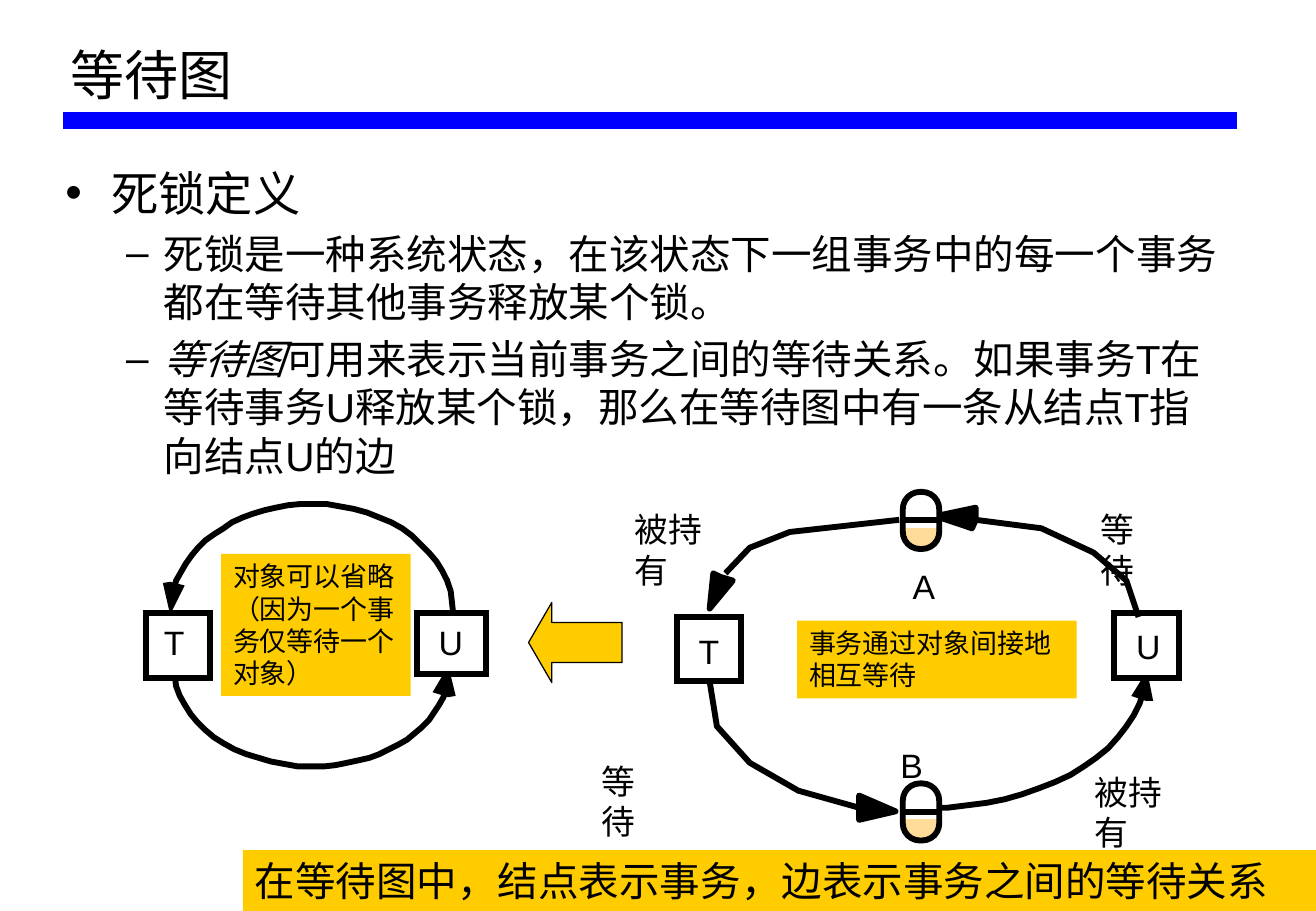
from lxml import etree
from pptx import Presentation
from pptx.dml.color import RGBColor
from pptx.enum.shapes import MSO_CONNECTOR, MSO_SHAPE
from pptx.enum.text import MSO_ANCHOR, PP_ALIGN
from pptx.oxml.ns import qn
from pptx.util import Pt

RECT = MSO_SHAPE.RECTANGLE
CAPSULE = MSO_SHAPE.ROUNDED_RECTANGLE
LEFT_ARROW = MSO_SHAPE.LEFT_ARROW
STRAIGHT = MSO_CONNECTOR.STRAIGHT
TOP, BOTTOM = MSO_ANCHOR.TOP, MSO_ANCHOR.BOTTOM
LEFT = PP_ALIGN.LEFT

PX = 9144  # 100 px to the inch
STROKE = 3.5
COLORS = {"ink": "000000", "paper": "FFFFFF", "rule": "0000FF",
          "note": "FFCC00", "object": "FFDC99"}


def px(*lengths):
    return [n * PX for n in lengths]


def color(name):
    return RGBColor.from_string(COLORS[name])


def style(sp, fill=None, line=None, width=STROKE):
    sp.shadow.inherit = False
    if fill:
        sp.fill.solid()
        sp.fill.fore_color.rgb = color(fill)
    else:
        sp.fill.background()
    if line:
        sp.line.color.rgb = color(line)
        sp.line.width = Pt(width)
    else:
        sp.line.fill.background()


def add_shape(s, kind, box, adjust=(), **look):
    sp = s.shapes.add_shape(kind, *px(*box))
    for i, value in enumerate(adjust):
        sp.adjustments[i] = value
    style(sp, **look)
    if kind == RECT and look.get("line"):
        etree.SubElement(sp.line._get_or_add_ln(), qn("a:miter"), lim="800000")
    return sp


def add_path(s, points, closed=False, **look):
    builder = s.shapes.build_freeform(*points[0], scale=PX)
    builder.add_line_segments(points[1:], close=closed)
    style(builder.convert_to_shape(), **look)


def add_line(s, start, end, line="ink", width=STROKE):
    c = s.shapes.add_connector(STRAIGHT, *px(*start, *end))
    c.line.color.rgb = color(line)
    c.line.width = Pt(width)
    etree.SubElement(c._element.spPr, qn("a:effectLst"))
    return c


def curve(*controls, steps=16):
    """Points along a chain of cubic curves that share their end points."""
    points = [controls[0]]
    for k in range(0, len(controls) - 1, 3):
        a, b, c, d = controls[k:k + 4]
        for i in range(1, steps + 1):
            t = i / steps
            u = 1 - t
            points.append(tuple(
                u**3 * a[j] + 3 * u * u * t * b[j] + 3 * u * t * t * c[j] + t**3 * d[j]
                for j in (0, 1)))
    return points


def set_bullet(p, char, margin, hang):
    pPr = p._p.get_or_add_pPr()
    pPr.set("marL", str(margin * PX))
    pPr.set("indent", str(-hang * PX))
    etree.SubElement(pPr, qn("a:buFont"), typeface="Arial")
    etree.SubElement(pPr, qn("a:buChar"), char=char)


def write(p, text, size=20, font="Arial", italic=False):
    r = p.add_run()
    r.text = text
    r.font.size = Pt(size)
    r.font.name = font
    r.font.italic = italic
    r.font.color.rgb = color("ink")


def add_text(s, box, text, fill=None, wrap=True, inset=True, **font):
    sp = s.shapes.add_textbox(*px(*box))
    if fill:
        style(sp, fill=fill)
    tf = sp.text_frame
    tf.word_wrap = wrap
    tf.vertical_anchor = TOP
    if not inset:
        tf.margin_left = tf.margin_right = tf.margin_top = tf.margin_bottom = 0
    write(tf.paragraphs[0], text, **font)


def add_title(s, text):
    title = s.shapes.title
    title.left, title.top, title.width, title.height = px(48, 13, 972, 80)
    tf = title.text_frame
    tf.vertical_anchor = BOTTOM
    p = tf.paragraphs[0]
    p.alignment = LEFT
    p.line_spacing = 0.9
    write(p, text, size=32)


def add_definition(s):
    tf = s.shapes.add_textbox(*px(44, 130, 969, 280)).text_frame
    tf.word_wrap = True
    p = tf.paragraphs[0]
    set_bullet(p, "•", 38, 38)
    write(p, "死锁定义", size=28)
    items = [
        [("死锁是一种系统状态，在该状态下一组事务中的每一个事务都在等待其他事务释放某个锁。", False)],
        [("等待图", True),
         ("可用来表示当前事务之间的等待关系。如果事务T在等待事务U释放某个锁，"
          "那么在等待图中有一条从结点T指向结点U的边", False)],
    ]
    for runs in items:
        p = tf.add_paragraph()
        p.level = 1
        p.space_before = Pt(4.8)
        set_bullet(p, "–", 81, 31)
        for text, italic in runs:
            write(p, text, size=24, italic=italic)


def add_node(s, box, name, text_at):
    add_shape(s, RECT, box, fill="paper", line="ink")
    add_text(s, (*text_at, 20, 33), name, wrap=False, inset=False)


def add_object(s, x, y):
    box = (x, y, 30, 47)
    add_shape(s, CAPSULE, box, [0.5], fill="object")
    add_shape(s, RECT, (x, y, 30, 27), fill="paper", line="paper")
    outline = add_shape(s, CAPSULE, box, [0.47], line="ink")
    divider = add_line(s, (x, y + 23), (x + 30, y + 23))
    divider.begin_connect(outline, 1)
    divider.end_connect(outline, 3)


def main():
    prs = Presentation()
    prs.slide_width, prs.slide_height = px(1083, 750)
    s = prs.slides.add_slide(prs.slide_layouts[5])

    # Heading and definition
    add_line(s, (52, 99), (1018, 99), line="rule", width=10)
    add_title(s, "等待图")
    add_definition(s)

    # Curved edges with their arrowheads
    arcs = [
        [(941, 569), (928, 624), (852, 665), (764, 665)],
        [(143, 486), (154, 444), (202, 415), (257, 415),
         (321, 415), (373, 455), (373, 505)],
        [(367, 567), (356, 605), (310, 631), (257, 631),
         (194, 631), (143, 594), (143, 548)],
    ]
    for arc in arcs:
        add_path(s, curve(*arc), line="ink")
    heads = [
        [(931, 573), (943, 577), (949, 577), (944, 552)],
        [(134, 480), (140, 479), (152, 482), (140, 506)],
        [(356, 570), (369, 574), (375, 573), (369, 548)],
    ]
    for head in heads:
        add_path(s, head, closed=True, fill="ink")

    # Transactions
    add_node(s, (120, 505, 53, 53), "T", (135, 512))
    add_node(s, (343, 505, 57, 50), "U", (361, 512))
    add_node(s, (557, 508, 53, 53), "T", (575, 519))
    add_node(s, (917, 505, 53, 53), "U", (935, 515))

    # Edges made of straight pieces, each with its arrowhead
    edges = [
        ([(803, 428), (857, 435), (900, 455), (927, 478), (937, 508)],
         [(803, 428), (800, 435), (770, 425), (803, 418)]),
        ([(707, 665), (657, 651), (617, 628), (590, 598), (584, 561)],
         [(707, 665), (707, 655), (737, 668), (707, 675)]),
        ([(597, 472), (617, 451), (650, 438), (740, 428)],
         [(593, 475), (603, 478), (584, 501), (587, 472)]),
    ]
    for edge, head in edges:
        add_path(s, head, closed=True, fill="ink", line="ink")
        add_path(s, edge, line="ink")

    # Objects
    for y in (645, 405):
        add_object(s, 743, y)
    for name, x, y in (("B", 741, 613), ("A", 751, 466)):
        add_text(s, (x, y, 19, 33), name, wrap=False, inset=False)

    # Edge labels
    for label, x, y, width in (("等待", 495, 626, 50), ("被持有", 522, 419, 70),
                               ("被持有", 901, 635, 70), ("等待", 906, 419, 50)):
        add_text(s, (x, y, width, 66), label, inset=False)

    # Notes
    for box, note, size in (
            ((200, 700, 884, 50), "在等待图中，结点表示事务，边表示事务之间的等待关系", 24),
            ((656, 511, 230, 64), "事务通过对象间接地相互等待", 16),
            ((182, 456, 156, 117), "对象可以省略（因为一个事务仅等待一个对象）", 16)):
        add_text(s, box, note, fill="note", size=size, font="Cambria")
    add_shape(s, LEFT_ARROW, (435, 496, 77, 66), [0.5, 0.29],
              fill="note", line="ink", width=0.75)

    prs.save("out.pptx")


if __name__ == "__main__":
    main()
